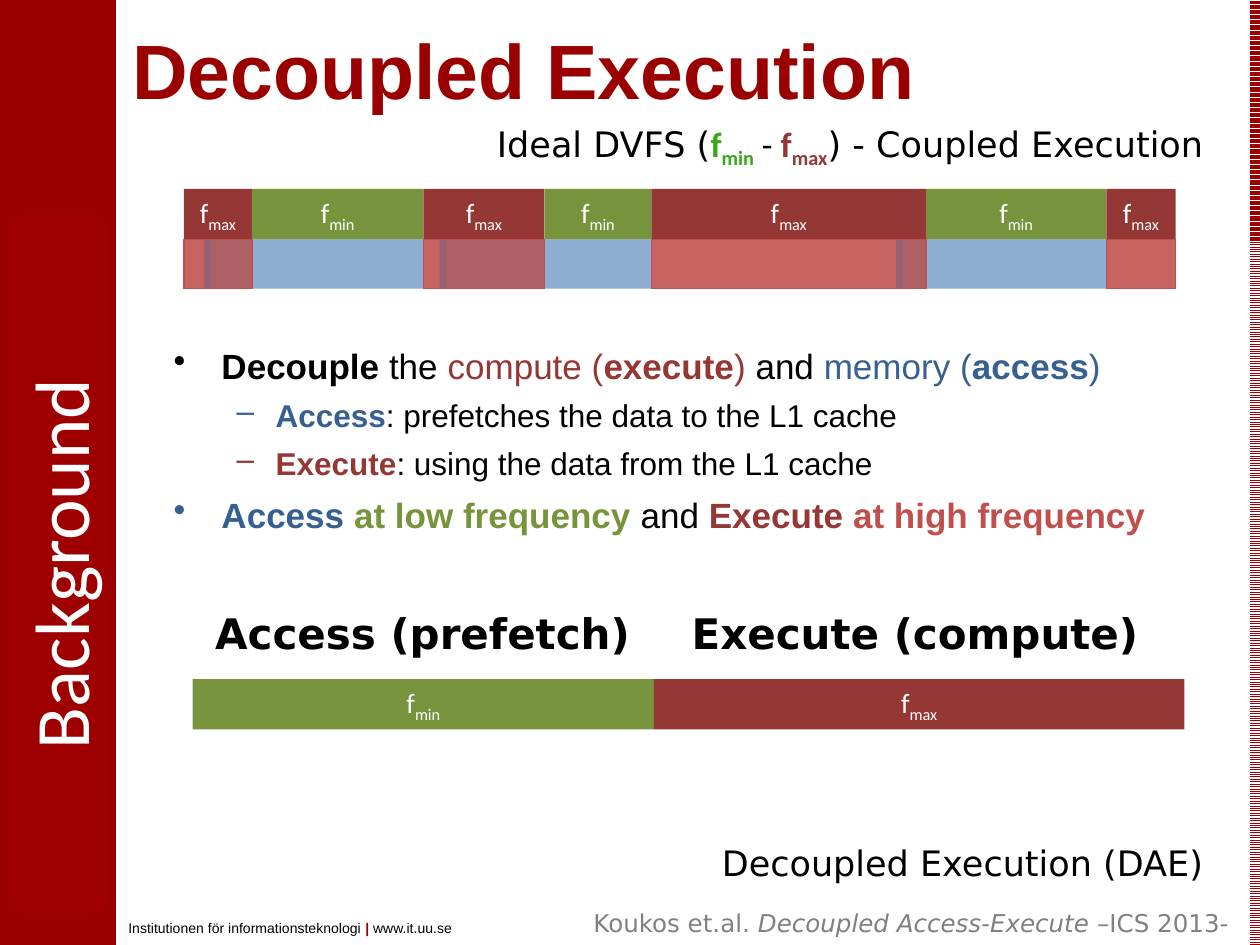
from itertools import pairwise

from lxml.etree import SubElement
from pptx import Presentation
from pptx.dml.color import RGBColor
from pptx.enum.dml import MSO_PATTERN
from pptx.enum.shapes import MSO_SHAPE
from pptx.enum.text import MSO_ANCHOR, PP_ALIGN
from pptx.oxml.ns import qn
from pptx.util import Inches, Pt

COLORS = {
    "brand": "9A0000", "tab": "9E0000", "white": "FFFFFF", "black": "000000",
    "gray": "808080", "lime": "37A818", "green": "77933C", "dark": "953735",
    "red": "C0504D", "blue": "4F81BD", "navy": "376092",
}
LEFT, MID, RIGHT = PP_ALIGN.LEFT, PP_ALIGN.CENTER, PP_ALIGN.RIGHT
TOP, BOTTOM = MSO_ANCHOR.TOP, MSO_ANCHOR.BOTTOM

# Shared edges of the frequency phases, which alternate max and min
EDGES = [1.46, 2, 3.36, 4.32, 5.17, 7.35, 8.78, 9.33]
# Start and width of each memory phase
MEMORY = [(7.17, 1.62), (1.68, 1.68), (3.55, 1.62)]


def rgb(name):
    return RGBColor.from_string(COLORS[name])


def write(para, runs, size, font, align=LEFT):
    """Add (text, color, style) runs; style holds b, i or _ for subscript."""
    para.alignment = align
    for text, color, style in runs:
        run = para.add_run()
        run.text = text
        run.font.size = Pt(size)
        run.font.name = font
        run.font.color.rgb = rgb(color)
        run.font.bold = "b" in style
        run.font.italic = "i" in style
        if "_" in style:
            run._r.get_or_add_rPr().set("baseline", "-25000")


def label(slide, box, runs, size, font, align=LEFT, anchor=TOP, wrap=True):
    frame = slide.shapes.add_textbox(*map(Inches, box)).text_frame
    frame.word_wrap = wrap
    frame.vertical_anchor = anchor
    write(frame.paragraphs[0], runs, size, font, align)
    return frame


def block(slide, box, color, alpha=None, line=None, kind=MSO_SHAPE.RECTANGLE):
    shape = slide.shapes.add_shape(kind, *map(Inches, box))
    shape.shadow.inherit = False
    shape.fill.solid()
    shape.fill.fore_color.rgb = rgb(color)
    if alpha:
        tint = shape.fill._xPr.find(qn("a:solidFill"))[0]
        SubElement(tint, qn("a:alpha"), val=str(alpha * 1000))
    if line:
        shape.line.color.rgb = rgb(line)
        shape.line.width = Pt(0.75)
    else:
        shape.line.fill.background()
    return shape


def stripes(slide, top, height, pattern):
    shape = block(slide, (9.92, top, 0.08, height), "white")
    shape.fill.patterned()
    shape.fill.pattern = pattern
    shape.fill.fore_color.rgb = rgb("brand")
    shape.fill.back_color.rgb = rgb("white")


def phase(slide, left, right, top, level):
    color = "dark" if level == "max" else "green"
    shape = block(slide, (left, top, right - left, 0.4), color)
    shape.text_frame.vertical_anchor = TOP
    runs = [("f", "white", ""), (level, "white", "_")]
    write(shape.text_frame.paragraphs[0], runs, 16, "Calibri", MID)


def work(slide, spans, lead):
    """Lay compute over memory, with an optional lead mark per memory phase."""
    for left, width in MEMORY:
        if lead:
            block(slide, (left - 0.06, 1.9, 0.06, 0.39), "blue")
        block(slide, (left, 1.9, width, 0.39), "blue", 40)
    for left, right in spans:
        block(slide, (left, 1.9, right - left, 0.39), "red", 66, "red")


def bullet(para, runs, level):
    size, indent, hang, mark = [(20, 0.38, 0.38, "•"), (18, 0.81, 0.31, "–")][level]
    write(para, runs, size, "Arial")
    para.level = level
    para.line_spacing = 1.1
    para.space_before = Pt(size * 0.2)
    props = para._p.get_or_add_pPr()
    props.set("marL", str(Inches(indent)))
    props.set("indent", str(-Inches(hang)))
    SubElement(props, qn("a:buChar"), char=mark)


def frame(slide):
    block(slide, (0, 0, 0.92, 7.5), "brand")
    stripes(slide, 1.92, 5.58, MSO_PATTERN.LIGHT_HORIZONTAL)
    stripes(slide, 0, 1.92, MSO_PATTERN.DARK_HORIZONTAL)
    label(slide, (0.92, 7.25, 5.92, 0.23), [
        ("Institutionen för informationsteknologi ", "black", ""),
        ("|", "brand", "b"), (" www.it.uu.se", "black", "")], 8, "Arial")
    tab = block(slide, (-2.31, 4.08, 5.55, 0.79), "tab",
                kind=MSO_SHAPE.ROUNDED_RECTANGLE)
    tab.rotation = 270
    tab.text_frame.word_wrap = False
    write(tab.text_frame.paragraphs[0], [("Background", "white", "")],
          44, "Calibri", MID)


def points(slide):
    items = [
        (0, [("Decouple", "black", "b"), (" the ", "black", ""),
             ("compute (", "dark", ""), ("execute", "dark", "b"),
             (") ", "dark", ""), ("and ", "black", ""),
             ("memory (", "navy", ""), ("access", "navy", "b"),
             (")", "navy", "")]),
        (1, [("Access", "navy", "b"),
             (": prefetches the data to the L1 cache", "black", "")]),
        (1, [("Execute", "dark", "b"),
             (": using the data from the L1 cache", "black", "")]),
        (0, [("Access ", "navy", "b"), ("at low frequency ", "green", "b"),
             ("and ", "black", ""), ("Execute ", "dark", "b"),
             ("at high frequency", "red", "b")]),
    ]
    body = slide.shapes.add_textbox(*map(Inches, (1.28, 2.65, 8.5, 1.85))).text_frame
    body.word_wrap = True
    for i, (level, runs) in enumerate(items):
        para = body.add_paragraph() if i else body.paragraphs[0]
        bullet(para, runs, level)


def main():
    deck = Presentation()
    deck.slide_width, deck.slide_height = Inches(10), Inches(7.5)
    slide = deck.slides.add_slide(deck.slide_layouts[6])
    frame(slide)

    # Headings
    label(slide, (0.95, 0.13, 8.93, 0.83),
          [("Decoupled Execution", "brand", "b")], 44, "Arial", anchor=BOTTOM)
    ideal = label(slide, (1.28, 0.92, 8.37, 1.65), [
        ("Ideal DVFS (", "black", ""), ("f", "lime", "b"),
        ("min", "lime", "b_"), (" - ", "black", ""), ("f", "dark", "b"),
        ("max", "dark", "b_"), (") - Coupled Execution", "black", "")],
        20, "DejaVu Sans", RIGHT)
    for run in ideal.paragraphs[0].runs[1:-1]:
        run.font.name = "Calibri"
    points(slide)

    # Coupled execution
    spans = list(pairwise(EDGES))
    work(slide, spans[::2], False)
    for i, (left, right) in enumerate(spans):
        phase(slide, left, right, 1.5, "min" if i % 2 else "max")
    work(slide, spans[::2], True)

    # Decoupled execution
    phase(slide, 1.53, 5.19, 5.39, "min")
    phase(slide, 5.19, 9.4, 5.39, "max")
    for left, width, text in [(1.61, 3.55, "Access (prefetch)"),
                              (5.39, 3.81, "Execute (compute)")]:
        label(slide, (left, 4.77, width, 0.5), [(text, "black", "b")],
              24, "DejaVu Sans", wrap=False)
    label(slide, (1.28, 4.8, 8.37, 2.26),
          [("Decoupled Execution (DAE)", "black", "")],
          20, "DejaVu Sans", RIGHT, BOTTOM)

    # Citation
    label(slide, (2.24, 7.16, 7.61, 0.34), [
        ("Koukos et.al. ", "gray", ""),
        ("Decoupled Access-Execute", "gray", "i"),
        (" –ICS 2013-", "gray", "")], 14, "DejaVu Sans", RIGHT)

    deck.save("out.pptx")


if __name__ == "__main__":
    main()
